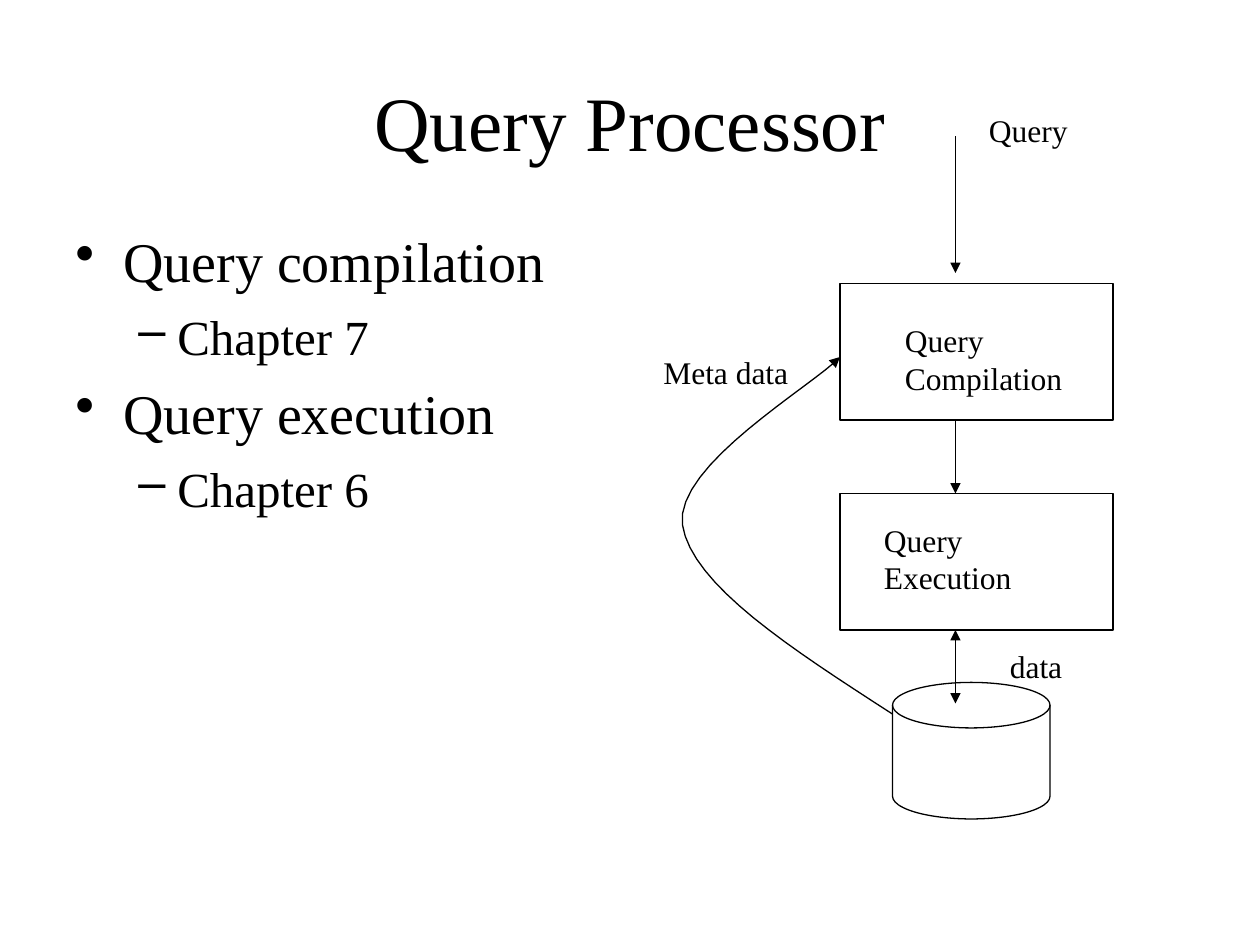
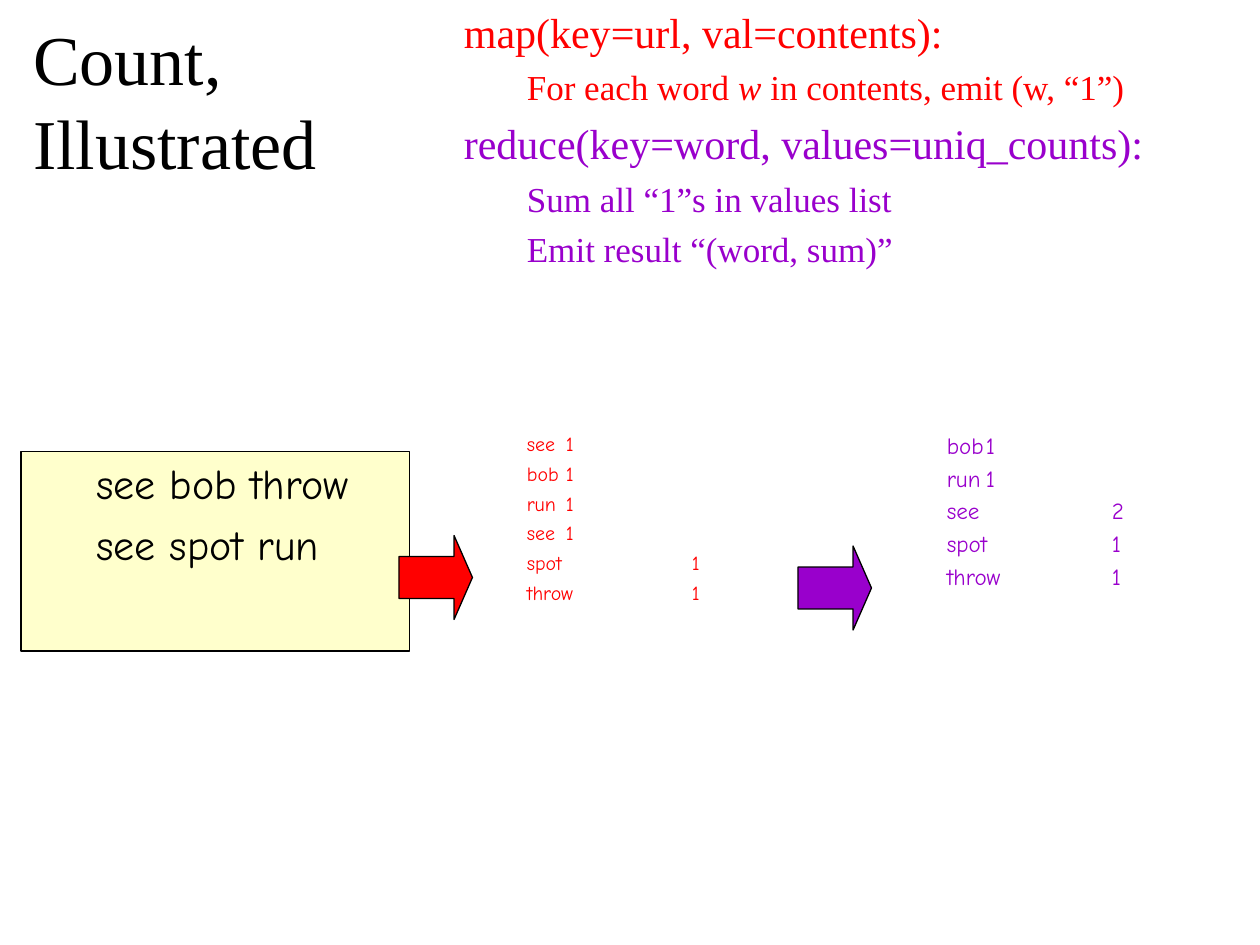
from dataclasses import dataclass, replace

import pptx
import pptx.dml.color
import pptx.enum.shapes
import pptx.enum.text
import pptx.oxml.ns
import pptx.util
from lxml import etree

# The slide is a grid of 120 columns by 90 rows, twelve to the inch
CELL = pptx.util.Inches(1) // 12
COLUMNS, ROWS = 120, 90

COLOURS = {
    "ink": "000000",
    "map": "FF0000",
    "reduce": "9900CC",
    "document": "FFFFCC",
}
SERIF, COMIC = "Times New Roman", "Comic Neue"
LINE_WIDTH = pptx.util.Pt(0.75)
SHAPES = pptx.enum.shapes.MSO_SHAPE
ALIGN = pptx.enum.text.PP_ALIGN
ANCHOR = pptx.enum.text.MSO_ANCHOR


@dataclass(frozen=True)
class Area:
    column: float
    row: float
    columns: float
    rows: float

    def lengths(self) -> list[int]:
        return [cells(n) for n in (self.column, self.row, self.columns, self.rows)]


@dataclass(frozen=True)
class Style:
    size: float
    colour: str = "ink"
    font: str = SERIF
    level: int = 0
    left: float = 0  # inches
    hang: float = 0  # inches
    before: float = 0  # points
    spacing: float = 1.0
    bullet: str = ""
    tabs: bool = False
    align: ALIGN = ALIGN.LEFT


@dataclass(frozen=True)
class Label:
    text: str
    area: Area


@dataclass(frozen=True)
class Arrow:
    column: float
    start: float
    end: float
    both_ways: bool = False


@dataclass(frozen=True)
class CountList:
    area: Area
    words: list[str]
    style: Style


TITLE = Style(44, align=ALIGN.CENTER)
LABEL = Style(18)
TOPIC = Style(32, left=0.38, hang=0.38, before=8, bullet="•")
CHAPTER = Style(28, level=1, left=0.81, hang=0.31, before=7, bullet="–")
FUNCTION = Style(24, level=1, left=0.81, hang=0.31, before=6)
STEP = Style(20, level=2, left=1.25, hang=0.25, before=5)
WORDS = replace(FUNCTION, font=COMIC)
COUNTS = replace(WORDS, spacing=0.8, tabs=True)


def cells(count: float) -> int:
    return round(count * CELL)


def rgb(colour: str) -> pptx.dml.color.RGBColor:
    return pptx.dml.color.RGBColor.from_string(COLOURS[colour])


def add_child(parent, tag: str, **attributes):
    child = etree.SubElement(parent, pptx.oxml.ns.qn(tag))
    for key, value in attributes.items():
        child.set(key, str(value))
    return child


# Text
def format_paragraph(paragraph, style: Style, first: bool) -> None:
    paragraph.level = style.level
    paragraph.alignment = style.align
    properties = paragraph._p.get_or_add_pPr()
    properties.set("marL", str(pptx.util.Inches(style.left)))
    properties.set("indent", str(-pptx.util.Inches(style.hang)))
    if style.bullet:
        bullet_colour = add_child(properties, "a:buClr")
        add_child(bullet_colour, "a:srgbClr", val=COLOURS["ink"])
        add_child(properties, "a:buChar", char=style.bullet)
    else:
        add_child(properties, "a:buNone")
    if style.tabs:
        properties.set("defTabSz", str(pptx.util.Inches(1)))
        stops = add_child(properties, "a:tabLst")
        for inch in range(8):
            add_child(stops, "a:tab", pos=pptx.util.Inches(inch), algn="l")
    paragraph.space_before = pptx.util.Pt(0 if first else style.before)
    paragraph.line_spacing = style.spacing


def write(frame, lines: list[tuple[str, Style]], *, anchor=ANCHOR.TOP,
          wrap: bool = True) -> None:
    """Write one paragraph per line; *stars* mark italics, \\n breaks the line."""
    frame.word_wrap = wrap
    frame.vertical_anchor = anchor
    if not wrap:
        frame.auto_size = pptx.enum.text.MSO_AUTO_SIZE.SHAPE_TO_FIT_TEXT
    for index, (text, style) in enumerate(lines):
        paragraph = frame.add_paragraph() if index else frame.paragraphs[0]
        format_paragraph(paragraph, style, first=index == 0)
        for row, row_text in enumerate(text.split("\n")):
            if row:
                paragraph.add_line_break()
            for part, part_text in enumerate(row_text.split("*")):
                run = paragraph.add_run()
                run.text = part_text
                run.font.size = pptx.util.Pt(style.size)
                run.font.name = style.font
                run.font.italic = part % 2 == 1
                run.font.color.rgb = rgb(style.colour)


def add_text(slide, area: Area, lines: list[tuple[str, Style]], **layout) -> None:
    write(slide.shapes.add_textbox(*area.lengths()).text_frame, lines, **layout)


def add_title(slide, text: str, area: Area, style: Style) -> None:
    add_text(slide, area, [(text, style)], anchor=ANCHOR.MIDDLE)


# Shapes and lines
def outline(item, head: bool = False, tail: bool = False) -> None:
    item.line.color.rgb = rgb("ink")
    item.line.width = LINE_WIDTH
    for tag, wanted in (("a:headEnd", head), ("a:tailEnd", tail)):
        if wanted:
            add_child(item.line._get_or_add_ln(), tag, type="triangle")


def add_block(slide, kind: SHAPES, area: Area, fill: str = ""):
    block = slide.shapes.add_shape(kind, *area.lengths())
    block.shadow.inherit = False
    if fill:
        block.fill.solid()
        block.fill.fore_color.rgb = rgb(fill)
    else:
        block.fill.background()
    outline(block)
    return block


def add_arrow(slide, arrow: Arrow) -> None:
    column = cells(arrow.column)
    connector = slide.shapes.add_connector(
        pptx.enum.shapes.MSO_CONNECTOR.STRAIGHT,
        column, cells(arrow.start), column, cells(arrow.end))
    outline(connector, head=arrow.both_ways, tail=True)
    add_child(connector._element.spPr, "a:effectLst")


def bezier(points: list[tuple[float, float]], steps: int = 16) -> list[tuple[float, float]]:
    """Points along a cubic curve, without its start."""
    def blend(t: float, a: float, b: float, c: float, d: float) -> float:
        s = 1 - t
        return s**3 * a + 3 * s * s * t * b + 3 * s * t * t * c + t**3 * d

    xs, ys = zip(*points)
    return [(blend(i / steps, *xs), blend(i / steps, *ys)) for i in range(1, steps + 1)]


def add_curve(slide, start: tuple[float, float], curves: list) -> None:
    vertices = [start]
    for curve in curves:
        vertices += bezier([vertices[-1], *curve])
    first, *rest = [(cells(column), cells(row)) for column, row in vertices]
    builder = slide.shapes.build_freeform(*first)
    builder.add_line_segments(rest, close=False)
    path_shape = builder.convert_to_shape()
    path_shape.shadow.inherit = False
    path_shape.fill.background()
    outline(path_shape, tail=True)


# Slides
def build_query_processor(slide) -> None:
    add_title(slide, "Query Processor", Area(6, 4, 108, 15), TITLE)
    add_text(slide, Area(6, 21, 49, 59.4), [
        ("Query compilation", TOPIC), ("Chapter 7", CHAPTER),
        ("Query execution", TOPIC), ("Chapter 6", CHAPTER),
    ])

    # Storage, execution and compilation stages
    add_block(slide, SHAPES.FLOWCHART_MAGNETIC_DISK, Area(85, 65, 15, 13))
    for stage_row in (47, 27):
        add_block(slide, SHAPES.RECTANGLE, Area(80, stage_row, 26, 13))

    # Flow between the stages
    for arrow in (Arrow(91, 13, 26), Arrow(91, 40, 47), Arrow(91, 60, 67, both_ways=True)):
        add_arrow(slide, arrow)
    add_curve(slide, (85, 68), [
        [(75.4, 61.8), (65.9, 55.7), (65, 50)],
        [(64.2, 44.3), (77.5, 36.7), (80, 34)],
    ])

    for label in (
        Label("Query\nExecution", Area(83, 49, 14.6, 8.4)),
        Label("Query\nCompilation", Area(85, 30, 17.5, 8.4)),
        Label("Query", Area(93, 10, 9.9, 4.8)),
        Label("Meta data", Area(62, 33, 14.4, 4.8)),
        Label("data", Area(95, 61, 7.4, 4.8)),
    ):
        lines = [(line, LABEL) for line in label.text.split("\n")]
        add_text(slide, label.area, lines, wrap=False)


def build_count_illustrated(slide) -> None:
    add_title(slide, "Count, \nIllustrated", Area(2, 2, 108, 15),
              replace(TITLE, size=40, align=ALIGN.LEFT))

    # Pseudocode
    map_step = replace(STEP, colour="map")
    reduce_step = replace(STEP, colour="reduce")
    add_text(slide, Area(37, 0, 83, 27), [
        ("map(key=url, val=contents):", replace(FUNCTION, colour="map")),
        ("For each word *w* in contents, emit (w, “1”)", map_step),
        ("reduce(key=word, values=uniq_counts):", replace(FUNCTION, colour="reduce")),
        ("Sum all “1”s in values list", reduce_step),
        ("Emit result “(word, sum)”", reduce_step),
    ])

    # Input document
    document = add_block(slide, SHAPES.RECTANGLE, Area(2, 43, 37, 19), "document")
    write(document.text_frame, [("see bob throw", WORDS), ("see spot run", WORDS)])

    # Mapped pairs and reduced totals
    for counts in (
        CountList(Area(43, 41, 37, 19),
                  ["see\t1", "bob\t1", "run\t1", "see \t1", "spot \t1", "throw\t1"],
                  replace(COUNTS, size=11.4, colour="map")),
        CountList(Area(83, 41, 37, 19),
                  ["bob\t1", "run\t1", "see \t2", "spot \t1", "throw\t1"],
                  replace(COUNTS, size=13.2, colour="reduce")),
    ):
        add_text(slide, counts.area, [(word, counts.style) for word in counts.words])

    for area, phase in ((Area(38, 51, 7, 8), "map"), (Area(76, 52, 7, 8), "reduce")):
        phase_arrow = add_block(slide, SHAPES.RIGHT_ARROW, area, phase)
        phase_arrow.adjustments[0] = 0.5
        phase_arrow.adjustments[1] = 0.25


def main() -> None:
    deck = pptx.Presentation()
    deck.slide_width, deck.slide_height = cells(COLUMNS), cells(ROWS)
    for build in (build_query_processor, build_count_illustrated):
        build(deck.slides.add_slide(deck.slide_layouts[6]))
    deck.save("out.pptx")


if __name__ == "__main__":
    main()
